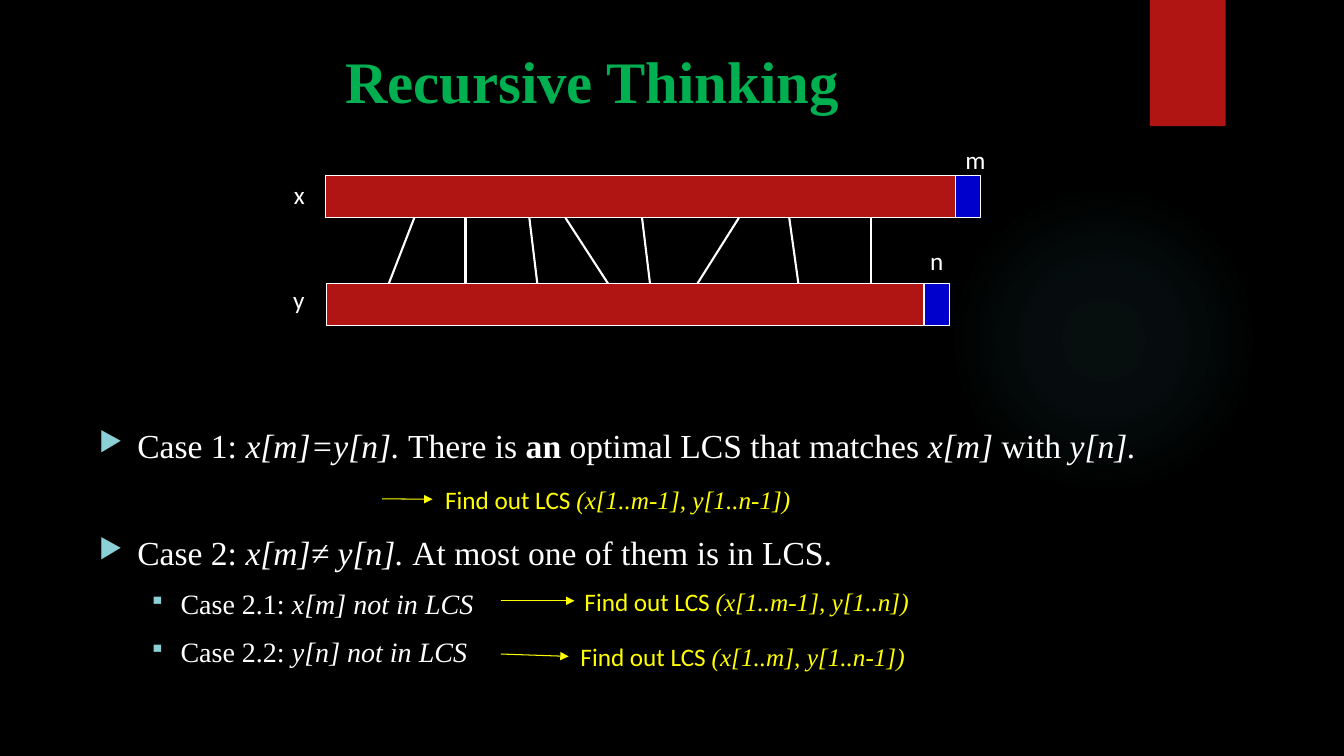
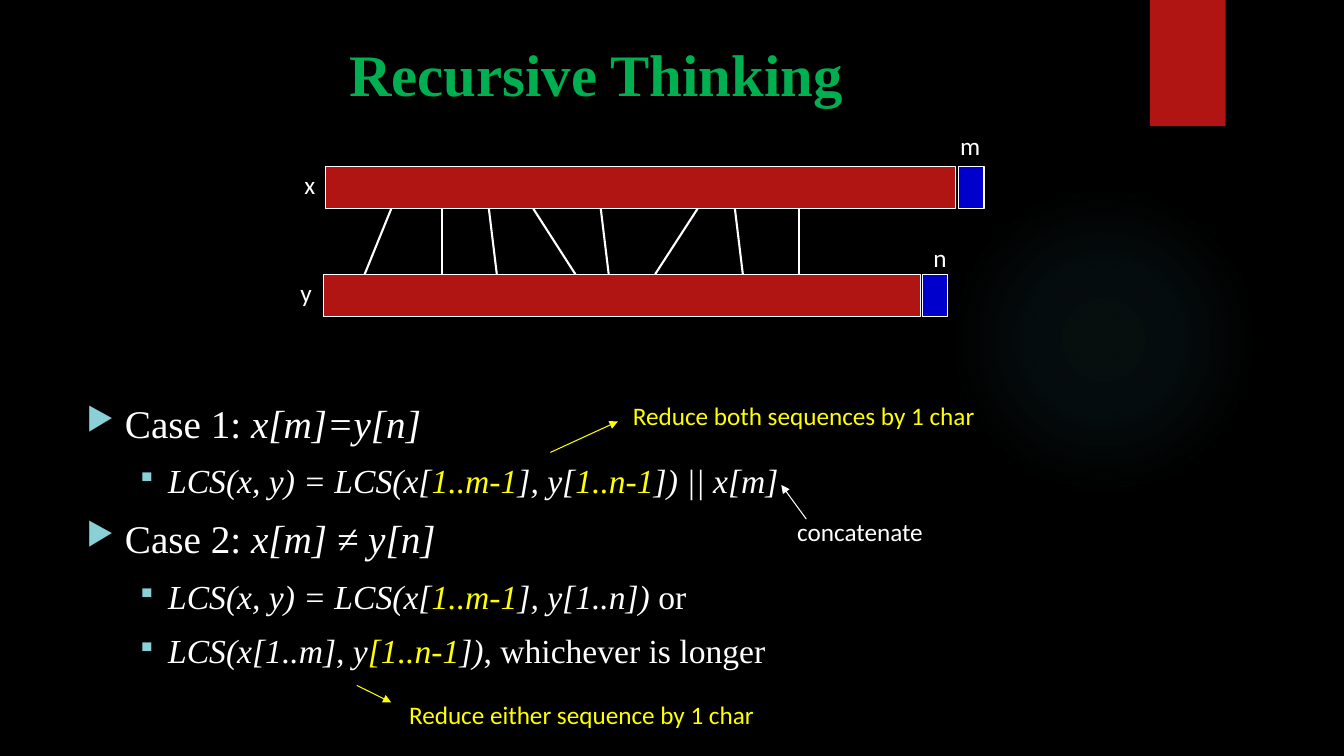
from dataclasses import dataclass
from typing import NamedTuple, Optional

from pptx import Presentation
from pptx.dml.color import RGBColor
from pptx.enum.shapes import MSO_CONNECTOR as Connector, MSO_SHAPE as Shape
from pptx.enum.text import MSO_ANCHOR as Anchor, PP_ALIGN as Align
from pptx.oxml import parse_xml
from pptx.oxml.ns import nsdecls
from pptx.util import Cm, Pt


@dataclass(frozen=True)
class Theme:
    background: RGBColor = RGBColor(0x00, 0x00, 0x00)
    text: RGBColor = RGBColor(0xFF, 0xFF, 0xFF)
    title: RGBColor = RGBColor(0x00, 0xB0, 0x50)
    red: RGBColor = RGBColor(0xB0, 0x15, 0x13)
    blue: RGBColor = RGBColor(0x00, 0x00, 0xCC)
    yellow: RGBColor = RGBColor(0xFF, 0xFF, 0x00)
    bullet: RGBColor = RGBColor(0x8A, 0xD0, 0xD6)
    glow: RGBColor = RGBColor(0x50, 0xB9, 0xC1)
    serif: str = "Times New Roman"
    sans: str = "Calibri"
    title_size: float = 42
    label_size: float = 18
    space_before: float = 10
    thin: float = 0.75
    thick: float = 1.5


THEME = Theme()
BAR_HEIGHT = 1.07
LAST_CELL_WIDTH = 0.64
LABEL_HEIGHT = 1.02


class Place(NamedTuple):
    left: float
    top: float
    width: float
    height: float

    def lengths(self) -> list:
        return [Cm(value) for value in self]


class Point(NamedTuple):
    x: float
    y: float


class Bullet(NamedTuple):
    sign: str
    margin: float
    hanging: float


BULLETS = (Bullet("▶", 0.97, 0.97), Bullet("▪", 2.06, 0.79))


@dataclass(frozen=True)
class Span:
    text: str
    italic: bool = False
    bold: bool = False
    color: RGBColor = THEME.text
    font: str = THEME.serif


@dataclass(frozen=True)
class Para:
    level: int
    size: float
    spans: list[Span]
    space_before: float = THEME.space_before


@dataclass(frozen=True)
class Sequence:
    """A bar with its name on the left and a last cell with its index above."""
    name: str
    name_place: Place
    bar: Place
    last_left: float
    index: str
    index_place: Place


@dataclass(frozen=True)
class Note:
    start: Point
    end: Point
    place: Place
    spans: list[Span]
    color: RGBColor = THEME.yellow


@dataclass(frozen=True)
class Content:
    title_place: Place
    upper: Sequence
    lower: Sequence
    matches: list[tuple[float, float]]
    body_place: Place
    body: list[Para]
    notes: list[Note]


def italic(text: str, color: RGBColor = THEME.text) -> Span:
    return Span(text, italic=True, color=color)


def sans(text: str, color: RGBColor = THEME.yellow) -> Span:
    return Span(text, color=color, font=THEME.sans)


def label_place(left: float, top: float, width: float) -> Place:
    return Place(left, top, width, LABEL_HEIGHT)


def bar_place(left: float, top: float, width: float) -> Place:
    return Place(left, top, width, BAR_HEIGHT)


def add_spans(para, spans: list[Span], size: float) -> None:
    for span in spans:
        run = para.add_run()
        run.text = span.text
        run.font.name = span.font
        run.font.size = Pt(size)
        run.font.italic = span.italic
        run.font.bold = span.bold
        run.font.color.rgb = span.color


def add_box(page, place: Place, wrap: bool):
    frame = page.shapes.add_textbox(*place.lengths()).text_frame
    frame.word_wrap = wrap
    return frame


def add_label(page, place: Place, spans: list[Span]) -> None:
    frame = add_box(page, place, wrap=False)
    add_spans(frame.paragraphs[0], spans, THEME.label_size)


def add_title(page, place: Place) -> None:
    frame = add_box(page, place, wrap=True)
    frame.vertical_anchor = Anchor.MIDDLE
    para = frame.paragraphs[0]
    para.alignment = Align.CENTER
    title = Span("Recursive Thinking", bold=True, color=THEME.title)
    add_spans(para, [title], THEME.title_size)


def set_bullet(para, bullet: Bullet) -> None:
    properties = para._p.get_or_add_pPr()
    properties.set("marL", str(Cm(bullet.margin)))
    properties.set("indent", str(-Cm(bullet.hanging)))
    for xml in (
        f'<a:buClr {nsdecls("a")}><a:srgbClr val="{THEME.bullet}"/></a:buClr>',
        f'<a:buSzPct {nsdecls("a")} val="80000"/>',
        f'<a:buChar {nsdecls("a")} char="{bullet.sign}"/>',
    ):
        properties.append(parse_xml(xml))


def add_body(page, place: Place, paras: list[Para]) -> None:
    frame = add_box(page, place, wrap=True)
    for number, item in enumerate(paras):
        para = frame.add_paragraph() if number else frame.paragraphs[0]
        para.level = item.level
        set_bullet(para, BULLETS[item.level])
        para.space_before = Pt(item.space_before if number else 0)
        add_spans(para, item.spans, item.size)


def add_block(page, place: Place, fill: RGBColor, outlined: bool = True) -> None:
    block = page.shapes.add_shape(Shape.RECTANGLE, *place.lengths())
    block.shadow.inherit = False
    block.fill.solid()
    block.fill.fore_color.rgb = fill
    if outlined:
        block.line.color.rgb = THEME.text
        block.line.width = Pt(THEME.thin)
    else:
        block.line.fill.background()


def add_line(page, start: Point, end: Point, color: RGBColor, width: float,
             arrow: bool = False) -> None:
    ends = [Cm(value) for value in (*start, *end)]
    line = page.shapes.add_connector(Connector.STRAIGHT, *ends)
    line.line.color.rgb = color
    line.line.width = Pt(width)
    if arrow:
        head = parse_xml(f'<a:tailEnd {nsdecls("a")} type="triangle"/>')
        line.line._get_or_add_ln().append(head)
    line._element.spPr.append(parse_xml(f'<a:effectLst {nsdecls("a")}/>'))


def add_glow(page) -> None:
    glow = page.shapes.add_shape(Shape.OVAL, *Place(23.9, 4.65, 7.82, 7.82).lengths())
    glow.shadow.inherit = False
    glow.line.fill.background()
    stops = "".join(
        f'<a:gs pos="{position * 1000}"><a:srgbClr val="{THEME.glow}">'
        f'<a:alpha val="{alpha * 1000}"/></a:srgbClr></a:gs>'
        for position, alpha in ((0, 7), (36, 6), (69, 0))
    )
    gradient = parse_xml(
        f'<a:gradFill {nsdecls("a")}><a:gsLst>{stops}</a:gsLst><a:path path="circle">'
        '<a:fillToRect l="50000" t="50000" r="50000" b="50000"/></a:path></a:gradFill>'
    )
    glow._element.spPr.insert(2, gradient)


def add_sequence(page, sequence: Sequence) -> None:
    add_block(page, sequence.bar, THEME.red)
    last = bar_place(sequence.last_left, sequence.bar.top, LAST_CELL_WIDTH)
    add_block(page, last, THEME.blue)
    add_label(page, sequence.name_place, [sans(sequence.name, THEME.text)])
    add_label(page, sequence.index_place, [sans(sequence.index, THEME.text)])


def add_page(deck, content: Content) -> None:
    page = deck.slides.add_slide(deck.slide_layouts[6])
    add_glow(page)
    add_block(page, Place(28.98, 0, 1.91, 3.18), THEME.red, outlined=False)
    add_title(page, content.title_place)
    add_body(page, content.body_place, content.body)
    for sequence in (content.upper, content.lower):
        add_sequence(page, sequence)
    upper_edge = content.upper.bar.top + BAR_HEIGHT
    lower_edge = content.lower.bar.top
    for upper_x, lower_x in content.matches:
        add_line(page, Point(upper_x, upper_edge), Point(lower_x, lower_edge),
                 THEME.text, THEME.thick)
    for note in content.notes:
        add_line(page, note.start, note.end, note.color, THEME.thin, arrow=True)
        add_label(page, note.place, note.spans)


CASES = Content(
    title_place=Place(1.93, 0.79, 25.98, 2.44),
    upper=Sequence("x", label_place(7.16, 4.39, 0.79), bar_place(8.2, 4.42, 15.88),
                   24.08, "m", label_place(24.08, 3.51, 1.04)),
    lower=Sequence("y", label_place(7.14, 7.04, 0.84), bar_place(8.23, 7.14, 15.04),
                   23.29, "n", label_place(23.19, 6.05, 0.86)),
    matches=[(10.44, 9.8), (11.73, 11.73), (13.34, 13.54), (14.25, 15.32),
             (16.18, 16.38), (18.62, 17.58), (19.89, 20.12), (21.95, 21.95)],
    body_place=Place(2.24, 10.59, 29.79, 7.92),
    body=[
        Para(0, 24, [Span("Case 1: "), italic("x[m]=y[n]. "), Span("There is "),
                     Span("an", bold=True), Span(" optimal LCS that matches "),
                     italic("x[m] "), Span("with"), italic(" y[n].")]),
        Para(0, 24, [Span("Case 2: "), italic("x[m]≠ y[n]. "),
                     Span("At most one of them is in LCS.")], space_before=47.6),
        Para(1, 20, [Span("Case 2.1: "), italic("x[m] not in LCS")]),
        Para(1, 20, [Span("Case 2.2: "), italic("y[n] not in LCS")]),
    ],
    notes=[
        Note(Point(start_x, start_y), Point(end_x, end_y), label_place(left, top, width),
             [sans("Find out LCS "), italic(arguments, THEME.yellow)])
        for start_x, start_y, end_x, end_y, left, top, width, arguments in (
            (9.63, 12.57, 10.9, 12.58, 10.97, 12.07, 9.32, "(x[1..m-1], y[1..n-1])"),
            (12.62, 15.14, 14.48, 15.14, 14.48, 14.66, 8.79, "(x[1..m-1], y[1..n])"),
            (12.62, 16.48, 14.33, 16.54, 14.38, 16.03, 8.79, "(x[1..m], y[1..n-1])"),
        )
    ],
)

RECURRENCE = Content(
    title_place=Place(1.93, 0.61, 26.19, 2.44),
    upper=Sequence("x", label_place(7.42, 4.14, 0.79), bar_place(8.2, 4.19, 15.88),
                   24.16, "m", label_place(23.95, 3.15, 1.07)),
    lower=Sequence("y", label_place(7.32, 6.86, 0.84), bar_place(8.15, 6.91, 15.04),
                   23.24, "n", label_place(23.27, 5.99, 0.86)),
    matches=[(9.86, 9.19), (11.13, 11.13), (12.32, 12.52), (13.44, 14.5),
             (15.14, 15.34), (17.58, 16.51), (18.52, 18.72), (20.14, 20.14)],
    body_place=Place(1.93, 9.93, 28.4, 8.99),
    body=[
        Para(0, 28, [Span("Case 1: "), italic("x[m]=y[n]")]),
        Para(1, 24, [italic("LCS(x, y) = LCS(x["), italic("1..m-1", THEME.yellow),
                     italic("], y["), italic("1..n-1", THEME.yellow),
                     italic("]) || x[m]")]),
        Para(0, 28, [Span("Case 2:"), italic(" x[m] ≠ y[n]")]),
        Para(1, 24, [italic("LCS(x, y) = LCS(x["), italic("1..m-1", THEME.yellow),
                     italic("], y[1..n]) "), Span("or")]),
        Para(1, 24, [italic("LCS(x[1..m], y"), italic("[1..n-1", THEME.yellow),
                     italic("])"), Span(", whichever is longer")]),
    ],
    notes=[
        Note(Point(13.87, 11.4), Point(15.57, 10.62), label_place(15.7, 9.96, 9.25),
             [sans("Reduce both sequences by 1 char")]),
        Note(Point(8.99, 17.27), Point(9.86, 17.7), label_place(10.06, 17.5, 9.32),
             [sans("Reduce either sequence by 1 char")]),
        Note(Point(20.32, 13.08), Point(19.69, 12.22), label_place(19.84, 12.88, 3.71),
             [sans("concatenate", THEME.text)], THEME.text),
    ],
)


def main() -> None:
    deck = Presentation()
    deck.slide_width, deck.slide_height = Cm(33.87), Cm(19.05)
    backdrop = deck.slide_master.background.fill
    backdrop.solid()
    backdrop.fore_color.rgb = THEME.background
    for content in (CASES, RECURRENCE):
        add_page(deck, content)
    deck.save("out.pptx")


if __name__ == "__main__":
    main()
